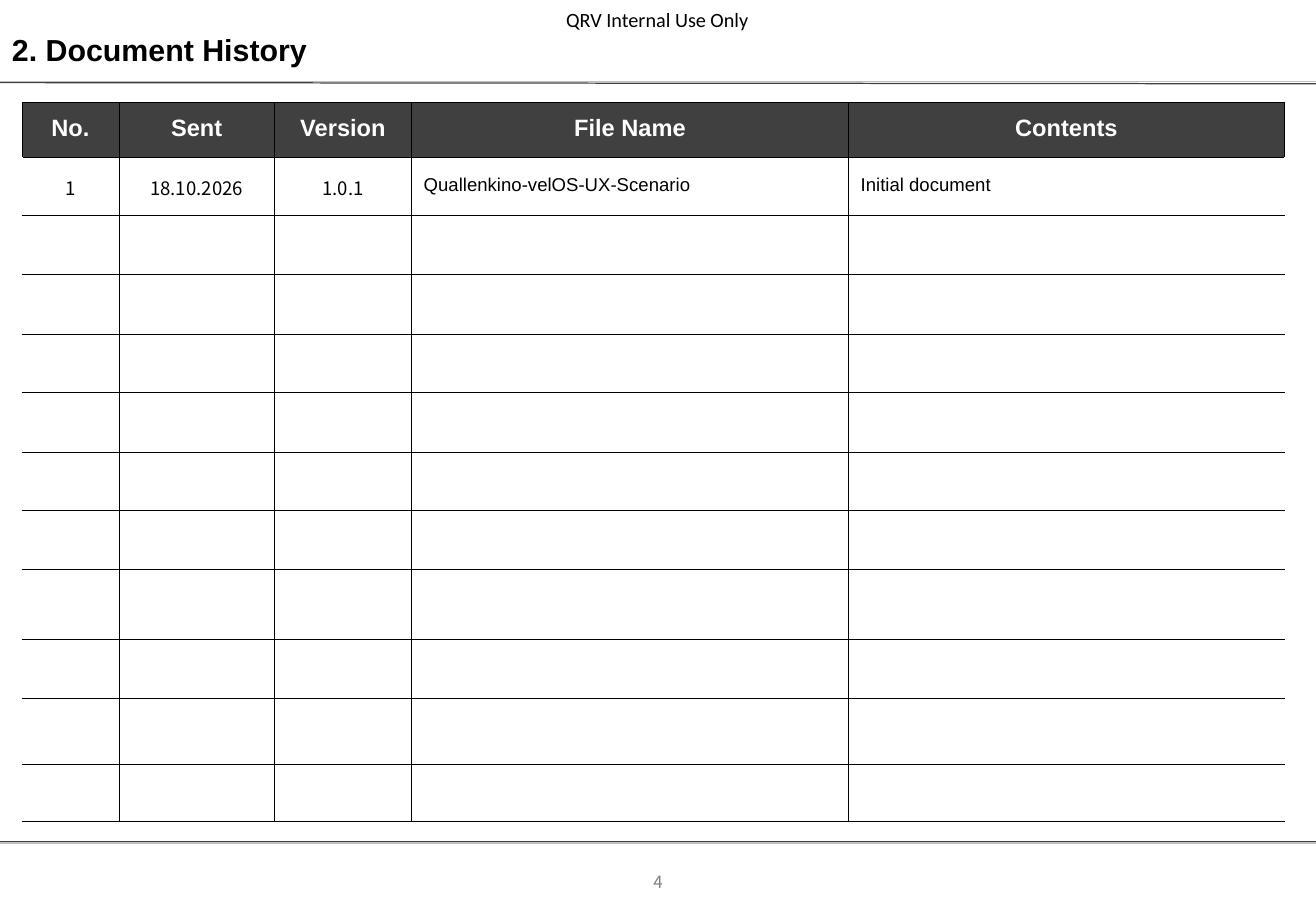
import pptx
import pptx.dml.color
import pptx.enum.shapes
import pptx.enum.text
import pptx.oxml
import pptx.oxml.ns
import pptx.util
import lxml.etree

COLORS = {"ink": "000000", "paper": "FFFFFF", "dark": "404040", "light": "BFBFBF", "muted": "7F7F7F"}
CENTER = pptx.enum.text.PP_ALIGN.CENTER
LEFT = pptx.enum.text.PP_ALIGN.LEFT
MIDDLE = pptx.enum.text.MSO_ANCHOR.MIDDLE
TOP = pptx.enum.text.MSO_ANCHOR.TOP
Inches = pptx.util.Inches
WIDTH, HEIGHT = Inches(10.84), Inches(7.5)

STYLES = {
    "title": {"name": "Arial", "size": 18, "bold": True, "color": "ink", "align": LEFT, "spacing": 1.0},
    "notice": {"name": "Calibri", "size": 12, "bold": False, "color": "ink", "align": CENTER, "spacing": 1.0},
    "page": {"name": "Noto Sans CJK KR", "size": 10, "bold": False, "color": "muted", "align": CENTER, "spacing": 1.1},
    "header": {"name": "Arial", "size": 14, "bold": True, "color": "paper", "align": CENTER, "spacing": 0.93},
    "number": {"name": "Noto Sans CJK KR", "size": 11, "bold": False, "color": "ink", "align": CENTER, "spacing": 1.09},
    "entry": {"name": "Arial", "size": 11, "bold": False, "color": "ink", "align": LEFT, "spacing": 0.93},
}


def write(frame, text, style):
    para = frame.paragraphs[0]
    para.alignment = style["align"]
    para.line_spacing = style["spacing"]
    span = para.add_run()
    span.text = text
    for key in ("name", "bold"):
        setattr(span.font, key, style[key])
    span.font.size = pptx.util.Pt(style["size"])
    span.font.color.rgb = pptx.dml.color.RGBColor.from_string(COLORS[style["color"]])


def add_border(cell, side, color, points):
    properties = cell._tc.get_or_add_tcPr()
    line = lxml.etree.SubElement(properties, pptx.oxml.ns.qn("a:ln" + side), w=str(int(pptx.util.Pt(points))))
    fill = lxml.etree.SubElement(line, pptx.oxml.ns.qn("a:solidFill"))
    lxml.etree.SubElement(fill, pptx.oxml.ns.qn("a:srgbClr"), val=COLORS[color])


deck = pptx.Presentation()
deck.slide_width, deck.slide_height = WIDTH, HEIGHT
page = deck.slides.add_slide(deck.slide_layouts[6])

# Rules under the title and above the page number
for start, end, color in ((0.68, 0.69, "dark"), (6.93, 6.93, "dark"), (0.67, 0.67, "light"), (6.94, 6.94, "light")):
    rule = page.shapes.add_connector(
        pptx.enum.shapes.MSO_CONNECTOR.STRAIGHT, 0, Inches(start), WIDTH, Inches(end))
    rule.line.width = pptx.util.Pt(0.75)
    rule.line.color.rgb = pptx.dml.color.RGBColor.from_string(COLORS[color])
    lxml.etree.SubElement(rule._element.spPr, pptx.oxml.ns.qn("a:effectLst"))

# Confidentiality notice, page number and title
for text, style, area, inset, anchor in (
    ("QRV Internal Use Only", "notice", (4.5, 0.06, 1.83, 0.2), (0, 0), MIDDLE),
    ("4", "page", (4.87, 7.14, 1.1, 0.22), (0.1, 0.05), MIDDLE),
    ("2. Document History", "title", (0, 0.21, 8.49, 0.4), (0.1, 0.05), TOP),
):
    box = page.shapes.add_textbox(*map(Inches, area))
    across, down = map(Inches, inset)
    for key, value in {"word_wrap": True, "vertical_anchor": anchor, "margin_left": across,
                       "margin_right": across, "margin_top": down, "margin_bottom": down}.items():
        setattr(box.text_frame, key, value)
    write(box.text_frame, text, STYLES[style])

# History table
column_widths = [0.8, 1.28, 1.13, 3.6, 3.59]
row_heights = [0.45, 0.48] + [0.49] * 2 + [0.48, 0.49, 0.48, 0.49, 0.57, 0.49, 0.54, 0.47]
headings = ["No.", "Sent", "Version", "File Name", "Contents"]
first_entry = ["1", "18.10.2026", "1.0.1", "Quallenkino-velOS-UX-Scenario", "Initial document"]
last_row, last_column = len(row_heights) - 1, len(column_widths) - 1

history = page.shapes.add_table(
    len(row_heights), len(column_widths), Inches(0.18), Inches(0.84),
    Inches(sum(column_widths)), Inches(sum(row_heights))).table
history.first_row = history.horz_banding = False
for column, width in zip(history.columns, column_widths):
    column.width = Inches(width)

for row_index, height in enumerate(row_heights):
    history.rows[row_index].height = Inches(height)
    is_header = row_index == 0
    for column_index in range(len(column_widths)):
        cell = history.cell(row_index, column_index)
        cell.vertical_anchor = MIDDLE
        thin, outer = ("ink", 0.06), ("paper", 0.45)
        inner = thin if is_header else ("ink", 0.23)
        borders = {
            "L": outer if column_index == 0 and not is_header else inner,
            "R": outer if column_index == last_column and not is_header else inner,
            "T": thin if row_index <= 1 else inner,
            "B": ("ink", 0.11) if row_index == last_row else inner,
        }
        for side, (color, points) in borders.items():
            add_border(cell, side, color, points)
        cell.fill.solid()
        cell.fill.fore_color.rgb = pptx.dml.color.RGBColor.from_string(COLORS["dark" if is_header else "paper"])
        if is_header:
            write(cell.text_frame, headings[column_index], STYLES["header"])
        elif row_index == 1:
            write(cell.text_frame, first_entry[column_index], STYLES["number" if column_index < 3 else "entry"])

deck.save("out.pptx")
